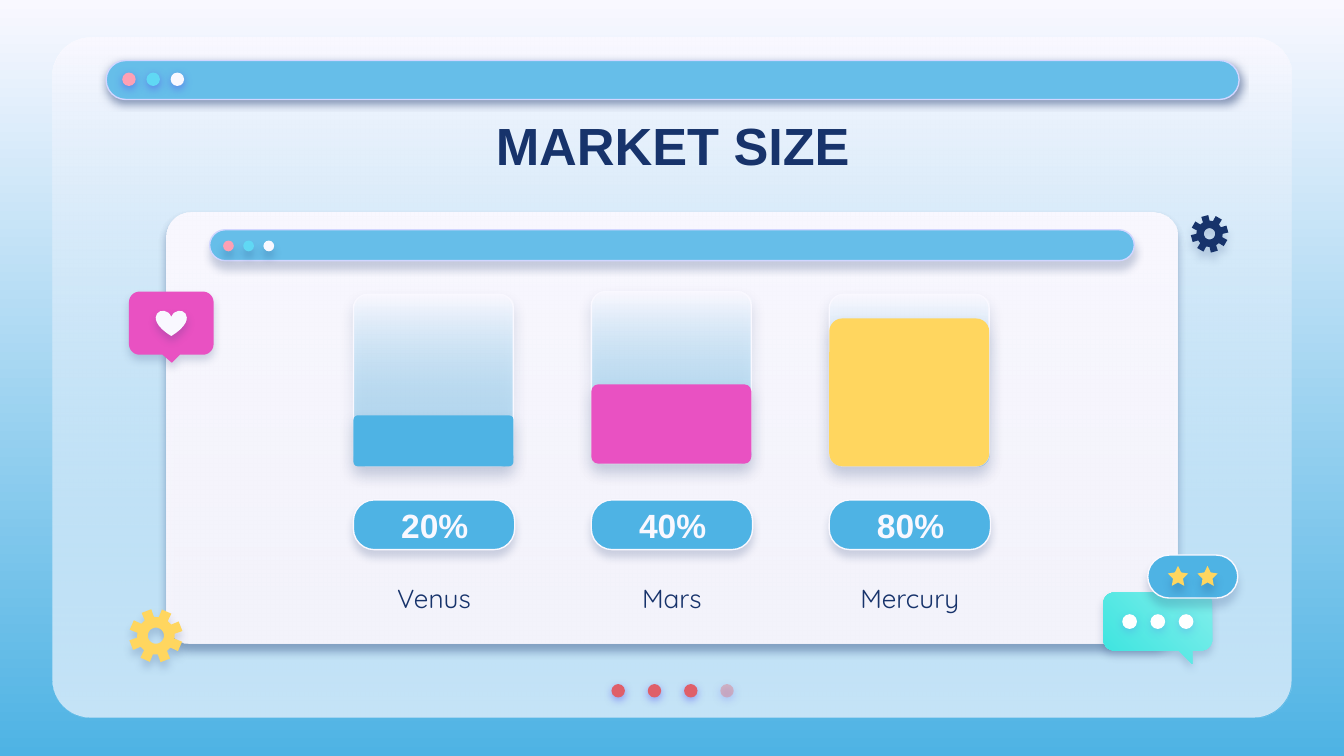
from math import cos, radians, sin

from pptx import Presentation
from pptx.dml.color import RGBColor
from pptx.enum.shapes import MSO_SHAPE as Preset
from pptx.enum.text import MSO_ANCHOR as Anchor, PP_ALIGN as Align
from pptx.oxml.ns import qn
from pptx.oxml.xmlchemy import OxmlElement
from pptx.util import Inches, Pt

THEME = {
    "pale": "F9F8FF", "navy": "17336B", "blue": "4EB3E4", "bar": "66BEE9", "edge": "D2D6FF",
    "pink": "E951C2", "yellow": "FFD65F", "rose": "FDA0B4", "cyan": "60D8F4", "white": "FFFFFF",
    "red": "DF5F69", "faded": "E27B83", "mint": "81EEEB", "teal": "3AE4DF", "violet": "5352EE",
    "title": {"name": "Arial", "size": Pt(28), "bold": True},
    "percent": {"name": "Arial", "size": Pt(18), "bold": True},
    "label": {"name": "Quicksand", "size": Pt(14), "bold": False},
}
SHADOWS = {
    "dot": ("violet", 50, 4.5, 1.5),
    "header": ("navy", 50, 4.5, 1.5),
    "panel": ("navy", 21, 4.5, 3.8),
    "tank": ("navy", 17, 7.9, 4.5),
    "pill": ("navy", 18, 4.5, 3.8),
    "badge": ("navy", 19, 4.5, 3),
    "rating": ("navy", 19, 4.5, 4.5),
    "typing": ("violet", 18, 4.5, 1.5),
}
GLASS = (("pale", 100), ("bar", 35), 90)
VEIL = (("pale", 100), ("pale", 87), 90)
MINT = (("mint", 100), ("teal", 100), 135)
SKY = (("pale", 100), ("blue", 100), 90)

TITLE = "MARKET SIZE"
PLANETS = [
    ("Venus", "20%", "blue", 2.19, 0.38),
    ("Mars", "40%", "pink", 2.17, 0.59),
    ("Mercury", "80%", "yellow", 2.19, 1.1),
]
WINDOW_DOTS = ["rose", "cyan", "pale"]
PAGE_DOTS = [("red", 100), ("red", 100), ("red", 100), ("faded", 44)]
GEARS = [
    ("yellow", (1.16, 4.73), 0.2, 24),
    ("navy", (9, 1.74), 0.14, 30),
]
BUBBLES = [
    ((0.96, 2.17, 0.63, 0.47), [(1.34, 2.64), (1.28, 2.7), (1.21, 2.64)], "pink"),
    ((8.21, 4.41, 0.81, 0.43), [(8.87, 4.84), (8.87, 4.94), (8.77, 4.84)], MINT),
]
COLUMN_LEFT, COLUMN_STEP, TANK_WIDTH, TANK_HEIGHT = 2.63, 1.77, 1.19, 1.28

presentation = Presentation()
presentation.slide_width = Inches(10)
presentation.slide_height = presentation.slide_width * 9 // 16
slide = presentation.slides.add_slide(presentation.slide_layouts[6])


def color(name):
    return RGBColor.from_string(THEME[name])


def add_child(parent, tag, **attributes):
    child = OxmlElement(tag)
    for key, value in attributes.items():
        child.set(key, str(value))
    parent.append(child)
    return child


def set_alpha(node, percent):
    if percent < 100:
        add_child(node, "a:alpha", val=percent * 1000)


def set_gradient(fill, gradient):
    fill.gradient()
    fill.gradient_angle = 360 - gradient[2]
    for stop, (name, _) in zip(fill.gradient_stops, gradient):
        stop.color.rgb = color(name)


def style(shape, fill, shadow=None, line=None, alpha=100):
    properties = shape._element.spPr
    if isinstance(fill, tuple):
        set_gradient(shape.fill, fill)
        alphas = [stop[1] for stop in fill[:2]]
    else:
        shape.fill.solid()
        shape.fill.fore_color.rgb = color(fill)
        alphas = [alpha]
    for node, percent in zip(properties.iter(qn("a:srgbClr")), alphas):
        set_alpha(node, percent)
    if line:
        shape.line.color.rgb = color(line)
        shape.line.width = Pt(0.75)
    else:
        shape.line.fill.background()
    shape.shadow.inherit = False
    if shadow:
        name, percent, blur, distance = SHADOWS[shadow]
        outer = add_child(properties.find(qn("a:effectLst")), "a:outerShdw", blurRad=Pt(blur),
                          dist=Pt(distance), dir=90 * 60000, algn="bl", rotWithShape=0)
        set_alpha(add_child(outer, "a:srgbClr", val=THEME[name]), percent)


def add_preset(preset, box, fill, shadow=None, line=None, alpha=100, adjustment=None):
    shape = slide.shapes.add_shape(preset, *map(Inches, box))
    if adjustment is not None:
        shape.adjustments[0] = adjustment
    style(shape, fill, shadow, line, alpha)


def add_rounded(box, corner, fill, shadow=None, line=None):
    add_preset(Preset.ROUNDED_RECTANGLE, box, fill, shadow, line, adjustment=corner)


def add_dots(dots, left, top, size, step, shadow):
    for index, (fill, alpha) in enumerate(dots):
        add_preset(Preset.OVAL, (left + index * step, top, size, size), fill, shadow, alpha=alpha)


def add_outline(contours, fill, shadow):
    contours = [[(Inches(x), Inches(y)) for x, y in points] for points in contours]
    builder = slide.shapes.build_freeform(*contours[0][0])
    for index, points in enumerate(contours):
        if index:
            builder.move_to(*points[0])
        builder.add_line_segments(points[1:], close=True)
    style(builder.convert_to_shape(), fill, shadow)


def polar(center, radius, degrees):
    angle = radians(degrees)
    return center[0] + radius * cos(angle), center[1] + radius * sin(angle)


def add_gear(fill, center, radius, turn):
    profile = [(-15, 0.7), (-11, 1), (11, 1), (15, 0.7)]
    teeth = [polar(center, radius * scale, turn + 45 * tooth + offset)
             for tooth in range(8) for offset, scale in profile]
    hole = [polar(center, radius * 0.3, -degrees) for degrees in range(0, 360, 10)]
    add_outline([teeth, hole], fill, "pill")


def add_bubble(box, tail, fill, radius=0.08):
    left, top, width, height = box
    right, bottom = left + width - radius, top + height - radius
    left, top = left + radius, top + radius
    corners = [((left, top), 180), ((right, top), 270), ((right, bottom), 0), ((left, bottom), 90)]
    points = []
    for center, start in corners:
        points += [polar(center, radius, start + turn) for turn in range(0, 91, 10)]
        if start == 0:
            points += tail
    add_outline([points], fill, "badge")


def add_text(text, box, font, name):
    frame = slide.shapes.add_textbox(*map(Inches, box)).text_frame
    margins = {f"margin_{side}": Inches(0.1) for side in ("left", "right", "top", "bottom")}
    for key, value in {"word_wrap": True, "vertical_anchor": Anchor.MIDDLE, **margins}.items():
        setattr(frame, key, value)
    paragraph = frame.paragraphs[0]
    paragraph.alignment = Align.CENTER
    run = paragraph.add_run()
    run.text = text
    for key, value in THEME[font].items():
        setattr(run.font, key, value)
    run.font.color.rgb = color(name)


def add_window(box, bar, veil, dots, dot_shadow, bar_shadow, shadow=None):
    for fill in ("pale", veil):
        add_rounded(box, 0.056, fill, shadow)
    add_rounded(bar, 0.5, "bar", bar_shadow, "edge")
    add_dots([(name, 100) for name in WINDOW_DOTS], *dots, dot_shadow)


set_gradient(slide.background.fill, SKY)
add_window((0.39, 0.28, 9.22, 5.06), (0.79, 0.45, 8.43, 0.29), GLASS,
           (0.91, 0.54, 0.1, 0.18), "dot", "header")
add_dots(PAGE_DOTS, 4.55, 5.09, 0.1, 0.27, "dot")
add_window((1.24, 1.58, 7.52, 3.21), (1.56, 1.71, 6.88, 0.23), VEIL,
           (1.66, 1.79, 0.08, 0.15), "panel", "panel", "panel")
add_text(TITLE, (0.79, 0.76, 8.43, 0.63), "title", "navy")

for index, (planet, percent, fill, top, level) in enumerate(PLANETS):
    left = COLUMN_LEFT + index * COLUMN_STEP
    add_rounded((left, top, TANK_WIDTH, TANK_HEIGHT), 0.088, GLASS, "tank", "pale")
    add_rounded((left, top + TANK_HEIGHT - level, TANK_WIDTH, level), 0.088, fill, "tank")
    add_rounded((left, 3.72, 1.2, 0.37), 0.42, "blue", "pill", "pale")
    add_text(percent, (left + 0.07, 3.72, 1.07, 0.38), "percent", "pale")
    add_text(planet, (left, 4.28, 1.2, 0.34), "label", "navy")

for gear in GEARS:
    add_gear(*gear)
for bubble in BUBBLES:
    add_bubble(*bubble)
add_preset(Preset.HEART, (1.16, 2.31, 0.23, 0.19), "pale", "badge")
add_dots([("white", 100)] * 3, 8.35, 4.57, 0.11, 0.21, "typing")
add_rounded((8.54, 4.13, 0.67, 0.32), 0.5, "blue", "rating", "pale")
for left in (8.69, 8.91):
    add_preset(Preset.STAR_5_POINT, (left, 4.21, 0.15, 0.15), "yellow", "rating", adjustment=0.25)

presentation.save("out.pptx")
